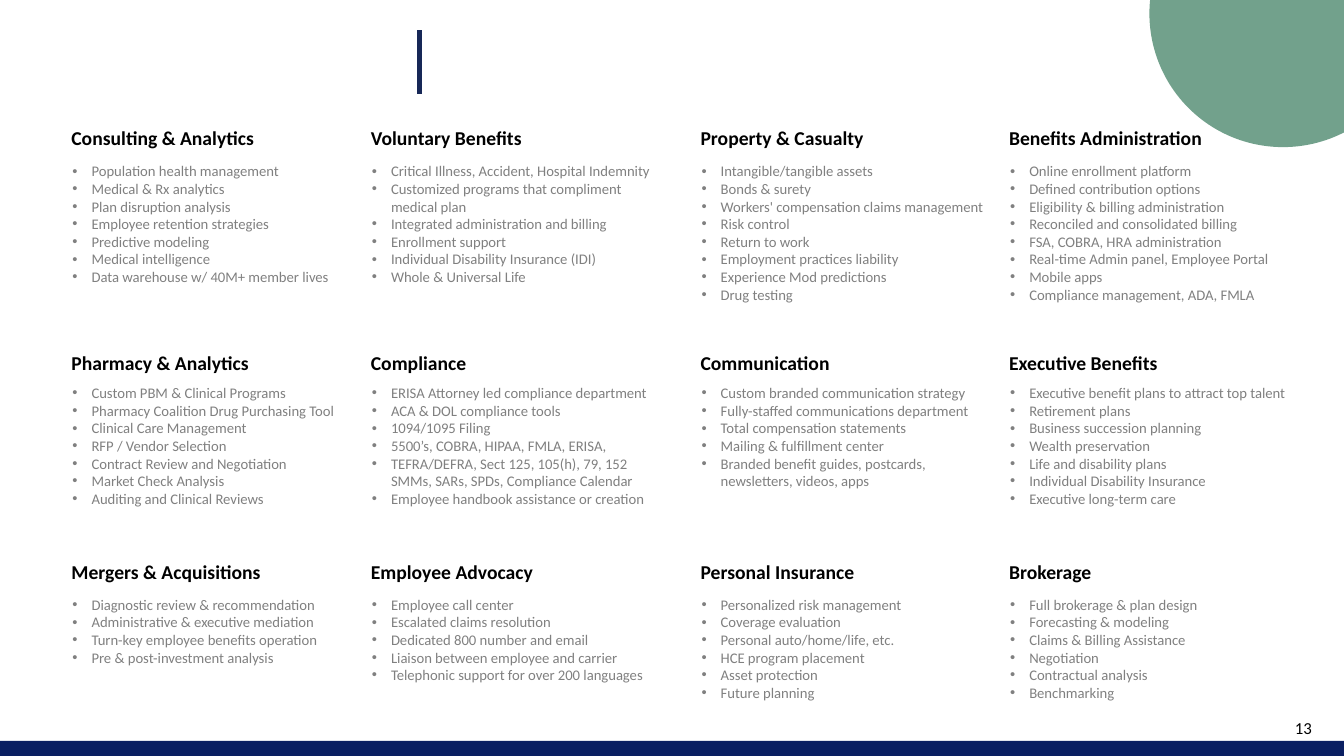
from lxml import etree
from pptx import Presentation
from pptx.dml.color import RGBColor
from pptx.enum.shapes import MSO_CONNECTOR, MSO_SHAPE
from pptx.enum.text import MSO_ANCHOR, MSO_AUTO_SIZE, PP_ALIGN
from pptx.oxml.ns import qn
from pptx.util import Inches, Pt

RECT, OVAL = MSO_SHAPE.RECTANGLE, MSO_SHAPE.OVAL
STRAIGHT = MSO_CONNECTOR.STRAIGHT
GROW = MSO_AUTO_SIZE.SHAPE_TO_FIT_TEXT
MIDDLE, RIGHT = MSO_ANCHOR.MIDDLE, PP_ALIGN.RIGHT

COLUMNS = [0.61, 3.58, 6.85, 9.91]
# Each row: heading top, list top, then the four topics
ROWS = [
    (1.2, 1.56, [
        ("Consulting & Analytics", [
            "Population health management",
            "Medical & Rx analytics",
            "Plan disruption analysis",
            "Employee retention strategies",
            "Predictive modeling",
            "Medical intelligence",
            "Data warehouse w/ 40M+ member lives"]),
        ("Voluntary Benefits", [
            "Critical Illness, Accident, Hospital Indemnity",
            "Customized programs that compliment medical plan",
            "Integrated administration and billing",
            "Enrollment support",
            "Individual Disability Insurance (IDI)",
            "Whole & Universal Life"]),
        ("Property & Casualty", [
            "Intangible/tangible assets",
            "Bonds & surety",
            "Workers' compensation claims management",
            "Risk control",
            "Return to work",
            "Employment practices liability",
            "Experience Mod predictions",
            "Drug testing"]),
        ("Benefits Administration", [
            "Online enrollment platform",
            "Defined contribution options",
            "Eligibility & billing administration",
            "Reconciled and consolidated billing",
            "FSA, COBRA, HRA administration",
            "Real-time Admin panel, Employee Portal",
            "Mobile apps",
            "Compliance management, ADA, FMLA"]),
    ]),
    (3.43, 3.76, [
        ("Pharmacy & Analytics", [
            "Custom PBM & Clinical Programs",
            "Pharmacy Coalition Drug Purchasing Tool",
            "Clinical Care Management",
            "RFP / Vendor Selection",
            "Contract Review and Negotiation",
            "Market Check Analysis",
            "Auditing and Clinical Reviews"]),
        ("Compliance", [
            "ERISA Attorney led compliance department",
            "ACA & DOL compliance tools",
            "1094/1095 Filing",
            "5500’s, COBRA, HIPAA, FMLA, ERISA,",
            "TEFRA/DEFRA, Sect 125, 105(h), 79, 152 SMMs, SARs, SPDs, Compliance Calendar",
            "Employee handbook assistance or creation"]),
        ("Communication", [
            "Custom branded communication strategy",
            "Fully-staffed communications department",
            "Total compensation statements",
            "Mailing & fulfillment center",
            "Branded benefit guides, postcards, newsletters, videos, apps"]),
        ("Executive Benefits", [
            "Executive benefit plans to attract top talent",
            "Retirement plans",
            "Business succession planning",
            "Wealth preservation",
            "Life and disability plans",
            "Individual Disability Insurance",
            "Executive long-term care"]),
    ]),
    (5.51, 5.86, [
        ("Mergers & Acquisitions", [
            "Diagnostic review & recommendation",
            "Administrative & executive mediation",
            "Turn-key employee benefits operation",
            "Pre & post-investment analysis"]),
        ("Employee Advocacy", [
            "Employee call center",
            "Escalated claims resolution",
            "Dedicated 800 number and email",
            "Liaison between employee and carrier",
            "Telephonic support for over 200 languages"]),
        ("Personal Insurance", [
            "Personalized risk management",
            "Coverage evaluation",
            "Personal auto/home/life, etc.",
            "HCE program placement",
            "Asset protection",
            "Future planning"]),
        ("Brokerage", [
            "Full brokerage & plan design",
            "Forecasting & modeling",
            "Claims & Billing Assistance",
            "Negotiation",
            "Contractual analysis",
            "Benchmarking"]),
    ]),
]


def color(code):
    return RGBColor.from_string(code)


def add_text(box, lines, size, code, bold=False, bullet=False):
    """Add a wrapped text box with one paragraph per line."""
    frame = slide.shapes.add_textbox(*map(Inches, box)).text_frame
    frame.word_wrap = True
    frame.text = "\n".join(lines)
    for para in frame.paragraphs:
        if bullet:
            props = para._p.get_or_add_pPr()
            props.set("marL", str(Inches(0.19)))
            props.set("indent", str(Inches(-0.19)))
            etree.SubElement(props, qn("a:buFont")).set("typeface", "Arial")
            etree.SubElement(props, qn("a:buChar")).set("char", "•")
        for run in para.runs:
            run.font.name = "Calibri"
            run.font.size = Pt(size)
            run.font.bold = bold
            run.font.color.rgb = color(code)
    return frame


prs = Presentation()
prs.slide_width, prs.slide_height = Inches(13.33), Inches(7.5)
slide = prs.slides.add_slide(prs.slide_layouts[6])

# Footer bar and corner circle
for kind, box, code in [
    (RECT, (0, 7.35, 13.33, 0.15), "0A1F62"),
    (OVAL, (11.4, -1.19, 2.65, 2.65), "377A5C"),
]:
    shape = slide.shapes.add_shape(kind, *map(Inches, box))
    shape.shadow.inherit = False
    shape.fill.solid()
    shape.fill.fore_color.rgb = color(code)
    shape.line.fill.background()
    if kind == OVAL:
        tint = shape.fill._xPr.find(".//" + qn("a:srgbClr"))
        etree.SubElement(tint, qn("a:alpha")).set("val", "70000")

# Topic grid
for head_top, list_top, topics in ROWS:
    for left, (head, items) in zip(COLUMNS, topics):
        frame = add_text((left, head_top, 2.4, 0.34), [head], 14, "000000", bold=True)
        frame.auto_size = GROW
        high = 0.1 + 0.18 * len(items)
        frame = add_text((left + 0.01, list_top, 3.06, high), items, 10.5, "808080", bullet=True)
        frame.auto_size = GROW

# Page number
frame = add_text((10.11, 7.02, 3, 0.4), ["13"], 12, "000000")
frame.vertical_anchor = MIDDLE
frame.paragraphs[0].alignment = RIGHT

# Title divider
rule = slide.shapes.add_connector(
    STRAIGHT, Inches(4.16), Inches(0.3), Inches(4.16), Inches(0.93))
rule.line.color.rgb = color("172857")
rule.line.width = Pt(3)
etree.SubElement(rule._element.spPr, qn("a:effectLst"))

prs.save("out.pptx")
